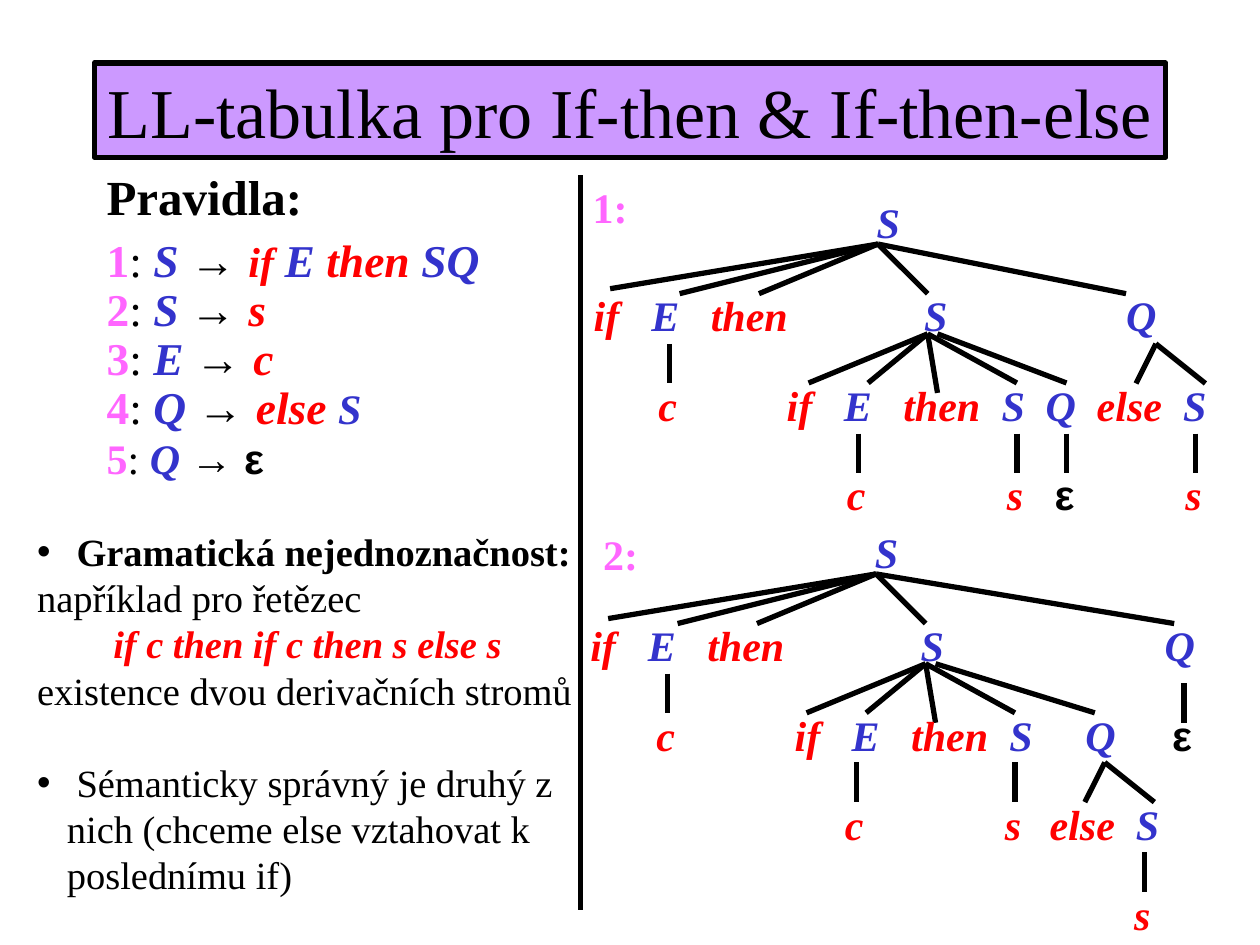
import pptx
import pptx.dml.color
import pptx.enum.shapes
import pptx.enum.text
import pptx.oxml
import pptx.oxml.ns
import pptx.util
import lxml.etree

Cm, Pt = pptx.util.Cm, pptx.util.Pt
RGBColor = pptx.dml.color.RGBColor
PP_ALIGN = pptx.enum.text.PP_ALIGN
qn = pptx.oxml.ns.qn

BLACK = RGBColor(0x00, 0x00, 0x00)
RED = RGBColor(0xFF, 0x00, 0x00)
BLUE = RGBColor(0x33, 0x33, 0xCC)
PINK = RGBColor(0xFF, 0x66, 0xFF)
LILAC = RGBColor(0xCC, 0x99, 0xFF)
SERIF, SANS = "Times New Roman", "Arial"

# kind of word: colour, font, bold, italic
STYLES = {
    "nonterminal": (BLUE, SERIF, True, True),
    "terminal": (RED, SERIF, True, True),
    "number": (PINK, SERIF, True, False),
    "heading": (BLACK, SERIF, True, False),
    "plain": (BLACK, SERIF, False, False),
    "symbol": (BLACK, SANS, True, False),
}
KINDS = {"S": "nonterminal", "E": "nonterminal", "Q": "nonterminal",
         "SQ": "nonterminal", "→": "symbol", "ε": "symbol"}

prs = pptx.Presentation()
prs.slide_width, prs.slide_height = Cm(25.4), Cm(19.05)
s = prs.slides.add_slide(prs.slide_layouts[6])


def add_text(x, y, w, h, paragraphs, size=24, pitch=None, align=PP_ALIGN.CENTER):
    """Add a text box; each paragraph is a list of (text, kind), kind None meaning a grammar word."""
    tf = s.shapes.add_textbox(Cm(x), Cm(y), Cm(w), Cm(h)).text_frame
    tf.word_wrap = True
    for i, words in enumerate(paragraphs):
        p = tf.paragraphs[0] if i == 0 else tf.add_paragraph()
        p.alignment = align
        p.line_spacing = Pt(pitch or 1.2 * size)
        p.font.size = Pt(size)
        for text, kind in words:
            r = p.add_run()
            r.text = text
            kind = kind or KINDS.get(text.strip(), "terminal")
            r.font.color.rgb, r.font.name, r.font.bold, r.font.italic = STYLES[kind]
    return tf


def add_line(x1, y1, x2, y2):
    c = s.shapes.add_connector(pptx.enum.shapes.MSO_CONNECTOR.STRAIGHT,
                               Cm(x1), Cm(y1), Cm(x2), Cm(y2))
    c.line.color.rgb = BLACK
    c.line.width = Pt(3)
    lxml.etree.SubElement(c._element.spPr, qn("a:effectLst"))


# Title
sp = s.shapes.add_shape(pptx.enum.shapes.MSO_SHAPE.RECTANGLE,
                        Cm(1.9), Cm(1.27), Cm(21.6), Cm(1.9))
sp.shadow.inherit = False
sp.fill.solid()
sp.fill.fore_color.rgb = LILAC
sp.line.color.rgb = BLACK
sp.line.width = Pt(3)
tf = sp.text_frame
tf.margin_left = tf.margin_right = 0
tf.vertical_anchor = pptx.enum.text.MSO_ANCHOR.MIDDLE
p = tf.paragraphs[0]
p.text = "LL-tabulka pro If-then & If-then-else"
p.alignment = PP_ALIGN.CENTER
p.line_spacing = Pt(48)
p.font.size = Pt(40)
p.font.name = SERIF
p.font.color.rgb = BLACK

# Grammar rules
add_text(1.9, 3.23, 5.08, 1.45, [[("Pravidla:", "heading")]], size=28, align=PP_ALIGN.LEFT)
rules = [("S", ["if ", "E ", "then ", "SQ"]), ("S", ["s"]), ("E", ["c"]),
         ("Q", ["else ", "S"]), ("Q", ["ε"])]
tf = add_text(1.9, 4.67, 8.51, 5.13,
              [[(str(n), "number"), (": ", "plain"), (left + " ", None), ("→ ", None)]
               + [(word, None) for word in right]
               for n, (left, right) in enumerate(rules, 1)],
              size=26, pitch=28, align=PP_ALIGN.LEFT)
first, _, _, fourth, last = tf.paragraphs
for r in (first.runs[4], fourth.runs[5], *last.runs):
    r.font.size = Pt(24)

# Ambiguity notes
tf = add_text(0.5, 10.52, 11.4, 7.72, [
    [(" Gramatická nejednoznačnost:", "heading")],
    [("například pro řetězec", "plain")],
    [("if c then if c then s else s", "terminal")],
    [("existence dvou derivačních stromů", "plain")],
    [(" Sémanticky správný je druhý z nich (chceme else vztahovat k poslednímu if)", "plain")],
], size=22, align=PP_ALIGN.LEFT)
notes = tf.paragraphs
notes[2].alignment = PP_ALIGN.CENTER
notes[4].space_before = Pt(26.4)
for p in (notes[0], notes[4]):
    pPr = p._p.get_or_add_pPr()
    pPr.set("marL", str(Cm(0.6)))
    pPr.set("indent", str(-Cm(0.6)))
    for tag, key, value in (("a:buFont", "typeface", SANS), ("a:buChar", "char", "•")):
        bullet = pptx.oxml.parse_xml(f'<{tag} {pptx.oxml.ns.nsdecls("a")} {key}="{value}"/>')
        pPr.find(qn("a:defRPr")).addprevious(bullet)

add_line(11.7, 3.53, 11.7, 18.34)

# Derivation trees: number position, shift of the shared parts, ends of both Q branches
trees = [("1:", 11.3, 3.53, 0, 0, 22.7, 21.5),
         ("2:", 11.51, 10.52, -0.04, 6.65, 23.71, 22.11)]
for number, x, y, dx, dy, outer_q, inner_q in trees:
    add_text(x, y, 2, 1.27, [[(number, "number")]])
    add_text(17.15 + dx, 3.84 + dy, 1.52, 1.27, [[("S", None)]])
    for x1, y1, x2, y2 in [(17.7, 4.92, 12.3, 5.82),
                           *((17.7, 4.92, end, 5.92) for end in (13.7, 15.3, 18.7, outer_q)),
                           *((18.7, 6.73, end, 7.72) for end in (16.3, 17.5, 20.5)),
                           (18.7, 6.73, 18.9, 7.92), (18.9, 6.73, inner_q, 7.72)]:
        add_line(x1 + dx, y1 + dy, x2 + dx, y2 + dy)

# Branches of the Q that derives else
for x, y in [(23.3, 6.93), (22.27, 15.37)]:
    add_line(x, y, x - 0.4, y + 0.8)
    add_line(x, y, x + 1, y + 0.8)

# Rows of words: box left, top, width, then each word with its left edge
rows = [
    (11.1, 5.72, 13.08, [("if", 11.97), ("E", 13.13), ("then", 14.33), ("S", 18.63), ("Q", 22.7)]),
    (15.29, 7.52, 9.6, [("if", 15.86), ("E", 17.01), ("then", 18.21), ("S", 20.19),
                        ("Q", 21.08), ("else", 22.11), ("S", 23.85)]),
    (11.46, 12.37, 13.08, [("if", 11.9), ("E", 13.06), ("then", 14.26), ("S", 18.56), ("Q", 23.48)]),
    (14.45, 14.17, 9.6, [("if", 16.02), ("E", 17.17), ("then", 18.37), ("S", 20.35), ("Q", 21.88)]),
    (19.86, 15.98, 4.8, [("else", 21.16), ("S", 22.9)]),
]
for x, y, w, words in rows:
    start = words[0][1]
    tf = add_text(x, y, w, 1.27,
                  [[(("\t" if i else "") + word, None) for i, (word, _) in enumerate(words)]],
                  align=PP_ALIGN.LEFT)
    tf.margin_left = Cm(start - x)
    tabs = pptx.oxml.parse_xml(f'<a:tabLst {pptx.oxml.ns.nsdecls("a")}/>')
    for _, edge in words[1:]:
        lxml.etree.SubElement(tabs, qn("a:tab"), pos=str(Cm(edge - start)), algn="l")
    tf.paragraphs[0]._p.pPr.find(qn("a:defRPr")).addprevious(tabs)

# Leaves: word, middle, top of the stem, top of the word
leaves = [("c", 13.5, 6.93, 7.52), ("c", 17.3, 8.74, 9.32), ("s", 20.5, 8.74, 9.32),
          ("ε", 21.5, 8.74, 9.32), ("s", 24.1, 8.74, 9.32),
          ("c", 13.46, 13.58, 14.17), ("c", 17.26, 15.37, 15.98), ("s", 20.46, 15.37, 15.98),
          ("ε", 23.87, 13.77, 14.17), ("s", 23.07, 17.18, 17.78)]
for word, x, stem, y in leaves:
    add_line(x, stem, x, stem + 0.8)
    add_text(x - 0.8, y, 1.52, 1.27, [[(word, None)]])

prs.save("out.pptx")
